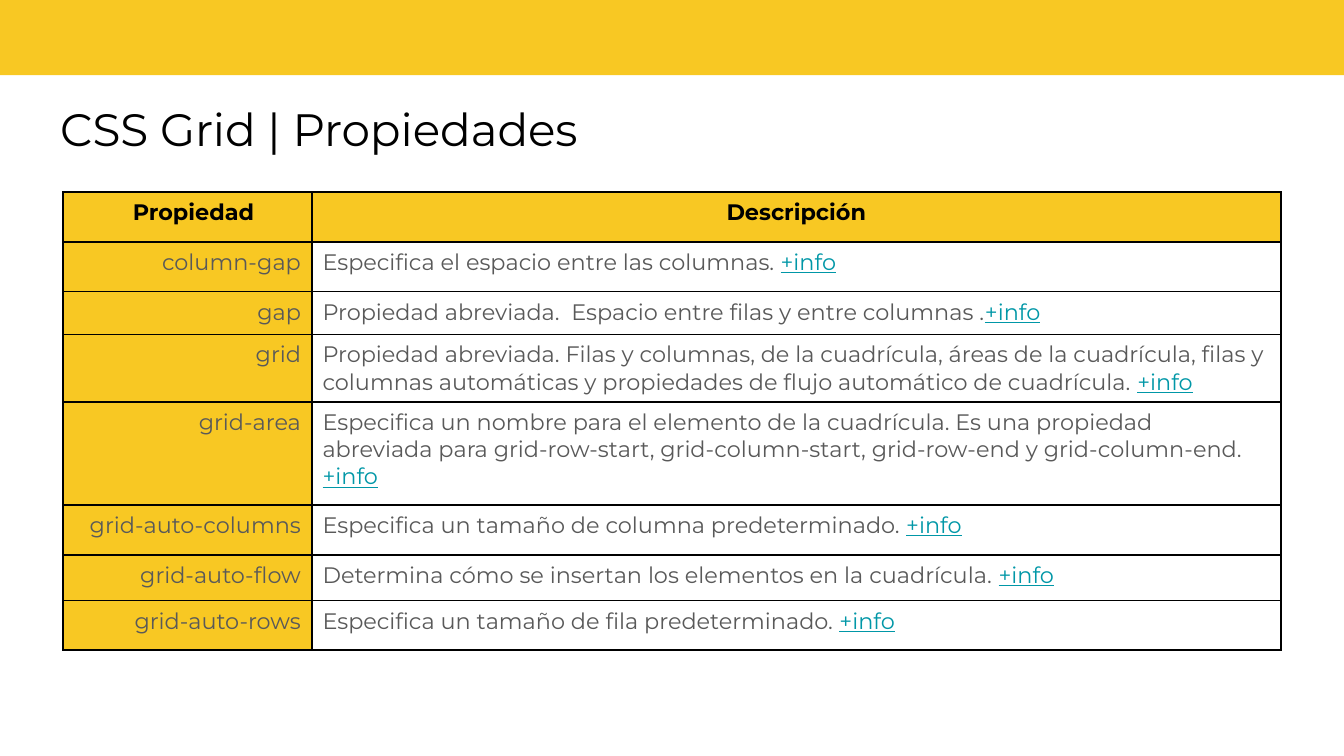
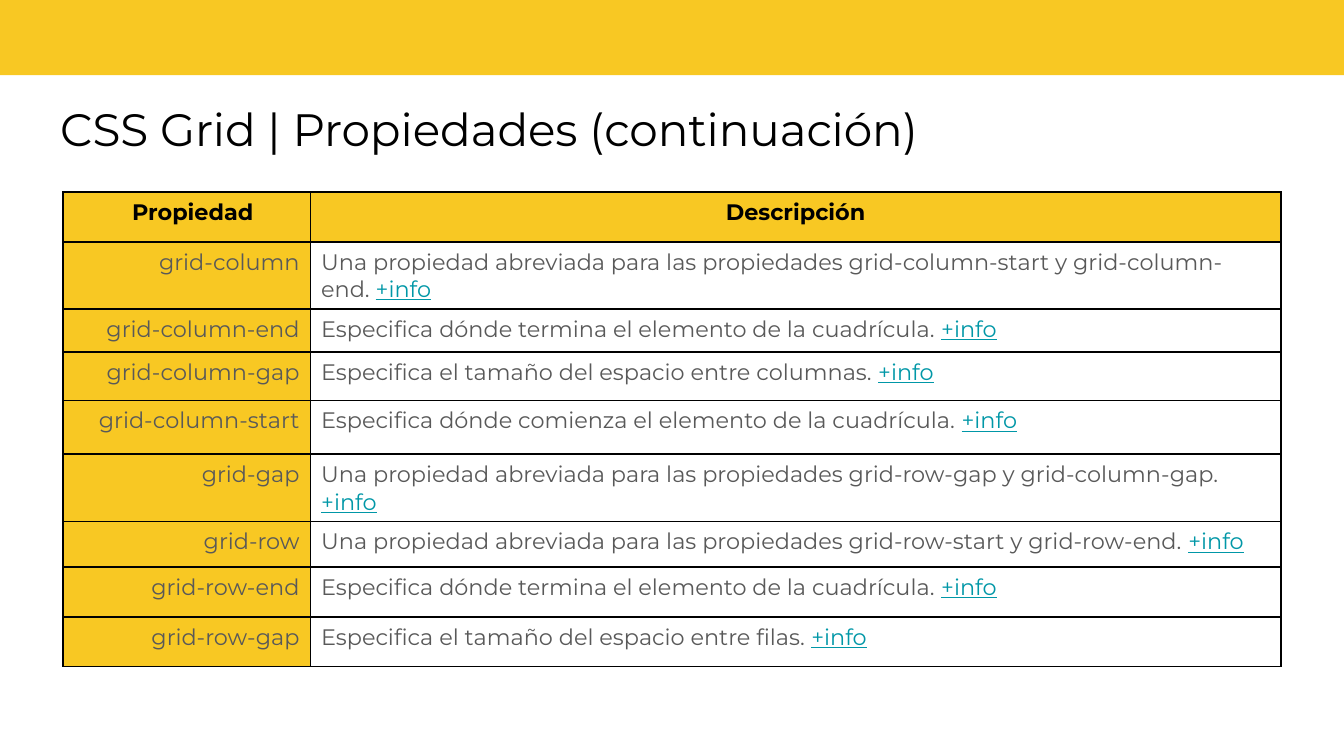
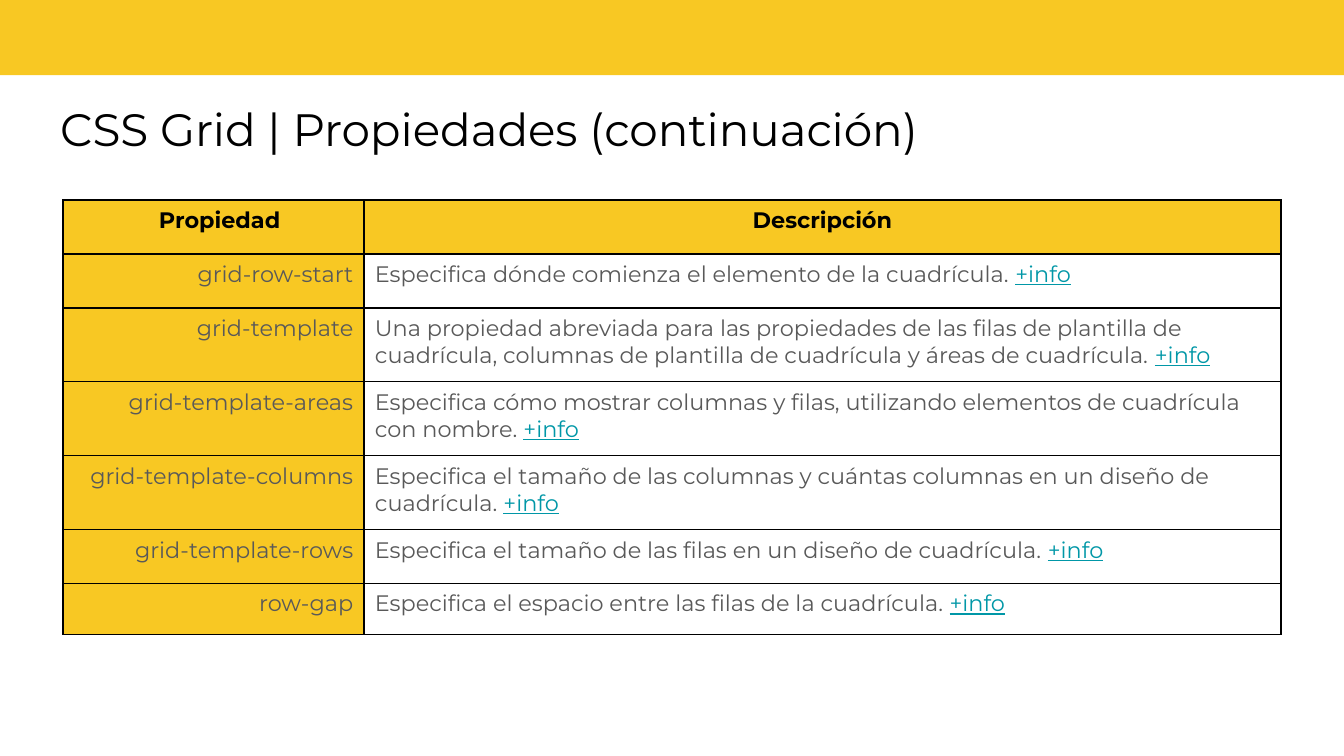
"""Build the three CSS Grid property table slides."""
from dataclasses import dataclass

import lxml.etree
import pptx
import pptx.dml.color
import pptx.enum.shapes
import pptx.enum.text
import pptx.oxml.ns
import pptx.util
from pptx.util import Inches

ALIGN = pptx.enum.text.PP_ALIGN


@dataclass(frozen=True)
class Theme:
    """Hold the colours, font and type sizes that the slides share."""

    yellow: str = "F8C823"
    black: str = "000000"
    grey: str = "595959"
    teal: str = "0097A7"
    font: str = "Montserrat"
    title_size: float = 24.3
    table_size: float = 12
    border_width: float = 0.96


THEME = Theme()
TABLE_LEFT = 0.47
TABLE_WIDTH = 9.06
NAME_MARGINS = (0.17, 0.08)
HEADING_MARGINS = (NAME_MARGINS, (0.08, 0.08))
DESCRIPTION_MARGINS = (0.08, 0.1)
HEADINGS = ("Propiedad", "Descripción")
MORE = "+info"

SECTIONS = [
    {
        "title": "CSS Grid | Propiedades",
        "top": 1.43,
        "name_width": 1.85,
        "header_height": 0.37,
        "properties": [
            ("column-gap", "Especifica el espacio entre las columnas. ", 0.37),
            ("gap", "Propiedad abreviada.  Espacio entre filas y entre columnas .", 0.32),
            ("grid", "Propiedad abreviada. Filas y columnas, de la cuadrícula, áreas de la "
             "cuadrícula, filas y columnas automáticas y propiedades de flujo automático "
             "de cuadrícula. ", 0.5),
            ("grid-area", "Especifica un nombre para el elemento de la cuadrícula. Es una "
             "propiedad abreviada para grid-row-start, grid-column-start, grid-row-end y "
             "grid-column-end. ", 0.77),
            ("grid-auto-columns", "Especifica un tamaño de columna predeterminado. ", 0.37),
            ("grid-auto-flow",
             "Determina cómo se insertan los elementos en la cuadrícula. ", 0.34),
            ("grid-auto-rows", "Especifica un tamaño de fila predeterminado. ", 0.37),
        ],
    },
    {
        "title": "CSS Grid | Propiedades (continuación)",
        "top": 1.43,
        "name_width": 1.84,
        "header_height": 0.37,
        "properties": [
            ("grid-column", "Una propiedad abreviada para las propiedades "
             "grid-column-start y grid-column-end. ", 0.37),
            ("grid-column-end",
             "Especifica dónde termina el elemento de la cuadrícula. ", 0.32),
            ("grid-column-gap", "Especifica el tamaño del espacio entre columnas. ", 0.36),
            ("grid-column-start",
             "Especifica dónde comienza el elemento de la cuadrícula. ", 0.4),
            ("grid-gap", "Una propiedad abreviada para las propiedades grid-row-gap y "
             "grid-column-gap. ", 0.37),
            ("grid-row", "Una propiedad abreviada para las propiedades grid-row-start y "
             "grid-row-end. ", 0.34),
            ("grid-row-end",
             "Especifica dónde termina el elemento de la cuadrícula. ", 0.37),
            ("grid-row-gap", "Especifica el tamaño del espacio entre filas. ", 0.37),
        ],
    },
    {
        "title": "CSS Grid | Propiedades (continuación)",
        "top": 1.49,
        "name_width": 2.24,
        "header_height": 0.4,
        "properties": [
            ("grid-row-start",
             "Especifica dónde comienza el elemento de la cuadrícula. ", 0.4),
            ("grid-template", "Una propiedad abreviada para las propiedades de las filas de "
             "plantilla de cuadrícula, columnas de plantilla de cuadrícula y áreas de "
             "cuadrícula. ", 0.55),
            ("grid-template-areas", "Especifica cómo mostrar columnas y filas, utilizando "
             "elementos de cuadrícula con nombre. ", 0.55),
            ("grid-template-columns", "Especifica el tamaño de las columnas y cuántas "
             "columnas en un diseño de cuadrícula. ", 0.55),
            ("grid-template-rows",
             "Especifica el tamaño de las filas en un diseño de cuadrícula. ", 0.4),
            ("row-gap", "Especifica el espacio entre las filas de la cuadrícula. ", 0.38),
        ],
    },
]


def rgb(colour):
    """Turn a hex string into a colour."""
    return pptx.dml.color.RGBColor.from_string(colour)


def style_run(run, size, colour, bold=False, underline=False):
    """Format one run of text."""
    run.font.name = THEME.font
    run.font.size = pptx.util.Pt(size)
    run.font.color.rgb = rgb(colour)
    run.font.bold = bold
    run.font.underline = underline


def add_band(slide):
    """Draw the yellow band across the top."""
    band = slide.shapes.add_shape(
        pptx.enum.shapes.MSO_SHAPE.RECTANGLE,
        Inches(-0.01), Inches(-0.05), Inches(10.03), Inches(0.61))
    band.shadow.inherit = False
    band.fill.solid()
    band.fill.fore_color.rgb = rgb(THEME.yellow)
    band.line.fill.background()


def add_title(slide, text):
    """Write the slide title."""
    title = slide.shapes.add_textbox(Inches(0.35), Inches(0.65), Inches(9.3), Inches(0.63))
    frame = title.text_frame
    frame.word_wrap = True
    frame.vertical_anchor = pptx.enum.text.MSO_ANCHOR.TOP
    frame.margin_left = frame.margin_right = Inches(0.1)
    frame.margin_top = frame.margin_bottom = Inches(0.1)
    frame.text = text
    style_run(frame.paragraphs[0].runs[0], THEME.title_size, THEME.black)


def add_borders(cell):
    """Outline all four sides of a cell."""
    qn = pptx.oxml.ns.qn
    properties = cell._tc.get_or_add_tcPr()
    for side in ("a:lnL", "a:lnR", "a:lnT", "a:lnB"):
        border = lxml.etree.SubElement(
            properties, qn(side), w=str(int(pptx.util.Pt(THEME.border_width))))
        fill = lxml.etree.SubElement(border, qn("a:solidFill"))
        lxml.etree.SubElement(fill, qn("a:srgbClr"), val=THEME.black)


def fill_cell(cell, text, align, colour, yellow, margins, bold=False):
    """Write a cell's text and set its borders, fill and margins."""
    add_borders(cell)
    if yellow:
        cell.fill.solid()
        cell.fill.fore_color.rgb = rgb(THEME.yellow)
    else:
        cell.fill.background()
    cell.margin_left, cell.margin_right = (Inches(margin) for margin in margins)
    cell.margin_top = cell.margin_bottom = Inches(0.05)
    paragraph = cell.text_frame.paragraphs[0]
    paragraph.text = text
    paragraph.alignment = align
    style_run(paragraph.runs[0], THEME.table_size, colour, bold)


def add_more(cell):
    """Append the underlined reference to a description."""
    more = cell.text_frame.paragraphs[0].add_run()
    more.text = MORE
    style_run(more, THEME.table_size, THEME.teal, underline=True)


def add_property_table(slide, section):
    """Build the table of properties and descriptions."""
    heights = [section["header_height"]] + [entry[2] for entry in section["properties"]]
    table = slide.shapes.add_table(
        len(heights), 2, Inches(TABLE_LEFT), Inches(section["top"]),
        Inches(TABLE_WIDTH), Inches(sum(heights))).table
    table.first_row = table.horz_banding = False
    table.columns[0].width = Inches(section["name_width"])
    table.columns[1].width = Inches(TABLE_WIDTH - section["name_width"])
    for row, height in zip(table.rows, heights):
        row.height = Inches(height)
    for column, heading in enumerate(HEADINGS):
        fill_cell(table.cell(0, column), heading, ALIGN.CENTER, THEME.black, True,
                  HEADING_MARGINS[column], bold=True)
    for row, (name, description, _) in enumerate(section["properties"], start=1):
        fill_cell(table.cell(row, 0), name, ALIGN.RIGHT, THEME.grey, True, NAME_MARGINS)
        fill_cell(table.cell(row, 1), description, ALIGN.LEFT, THEME.grey, False,
                  DESCRIPTION_MARGINS)
        add_more(table.cell(row, 1))


def main():
    """Create and save the presentation."""
    deck = pptx.Presentation()
    deck.slide_width = Inches(10)
    deck.slide_height = deck.slide_width * 9 // 16
    for section in SECTIONS:
        slide = deck.slides.add_slide(deck.slide_layouts[6])
        add_band(slide)
        add_title(slide, section["title"])
        add_property_table(slide, section)
    deck.save("out.pptx")


if __name__ == "__main__":
    main()
